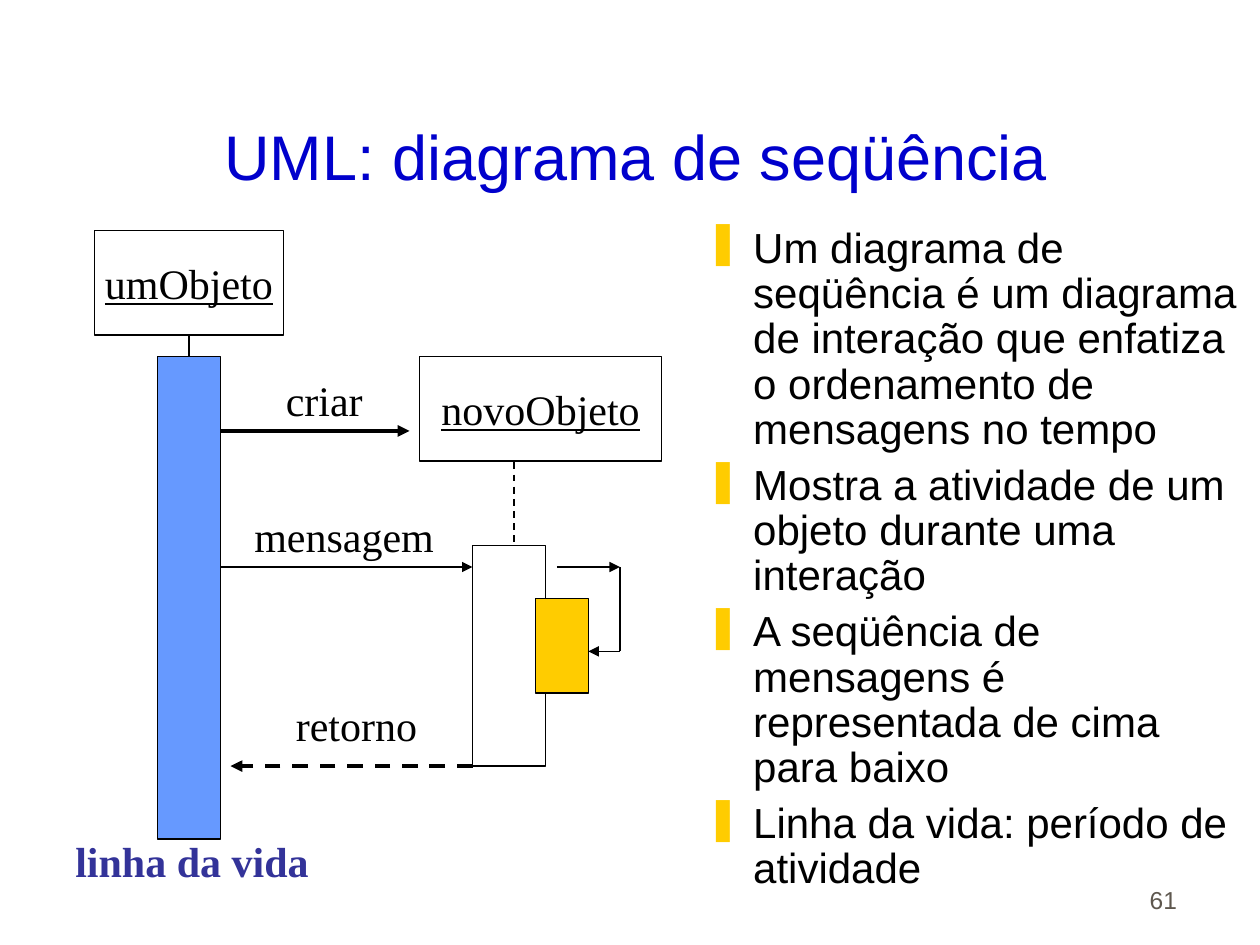
"""Builds a slide that explains the UML sequence diagram."""
from dataclasses import dataclass

from lxml import etree
from pptx import Presentation
from pptx.dml.color import RGBColor
from pptx.enum.dml import MSO_LINE
from pptx.enum.shapes import MSO_CONNECTOR, MSO_SHAPE
from pptx.enum.text import MSO_ANCHOR, MSO_AUTO_SIZE, PP_ALIGN
from pptx.oxml.ns import qn
from pptx.util import Inches, Pt


@dataclass(frozen=True)
class Theme:
    sans: str = "Arial"
    serif: str = "Times New Roman"
    title_size: int = 36
    text_size: int = 24
    number_size: int = 14
    title: str = "0000CC"
    ink: str = "000000"
    paper: str = "FFFFFF"
    active: str = "6699FF"
    accent: str = "FFCC00"
    caption: str = "333399"
    number: str = "5E574E"


class SequenceSlide:
    def __init__(self, slide, theme):
        self.shapes = slide.shapes
        self.theme = theme

    def style(self, paragraph, face, size, color, bold=False, underline=False):
        font = paragraph.font
        font.name, font.size = face, Pt(size)
        font.bold, font.underline = bold, underline
        font.color.rgb = RGBColor.from_string(color)

    def text(self, box, words, size, color, align, anchor):
        frame = self.shapes.add_textbox(*map(Inches, box)).text_frame
        frame.word_wrap = True
        frame.vertical_anchor = anchor
        paragraph = frame.paragraphs[0]
        paragraph.text, paragraph.alignment = words, align
        self.style(paragraph, self.theme.sans, size, color)

    def bullets(self, box, points):
        frame = self.shapes.add_textbox(*map(Inches, box)).text_frame
        frame.word_wrap = True
        for index, point in enumerate(points):
            paragraph = frame.add_paragraph() if index else frame.paragraphs[0]
            paragraph.text = point
            paragraph.line_spacing = 0.9
            paragraph.space_before = Pt(6 if index else 0)
            properties = paragraph._p.get_or_add_pPr()
            properties.set("marL", str(Inches(0.38)))
            properties.set("indent", str(-Inches(0.38)))
            bullet_color = etree.SubElement(properties, qn("a:buClr"))
            etree.SubElement(bullet_color, qn("a:srgbClr"), val=self.theme.accent)
            etree.SubElement(properties, qn("a:buChar"), char="❚")
            self.style(paragraph, self.theme.sans, self.theme.text_size, self.theme.ink)

    def label(self, box, words, color=None, bold=False):
        frame = self.shapes.add_textbox(*map(Inches, box)).text_frame
        frame.word_wrap = False
        frame.auto_size = MSO_AUTO_SIZE.SHAPE_TO_FIT_TEXT
        paragraph = frame.paragraphs[0]
        paragraph.text = words
        self.style(paragraph, self.theme.serif, self.theme.text_size,
                   color or self.theme.ink, bold=bold)

    def block(self, box, fill, name=None):
        block = self.shapes.add_shape(MSO_SHAPE.RECTANGLE, *map(Inches, box))
        block.shadow.inherit = False
        block.fill.solid()
        block.fill.fore_color.rgb = RGBColor.from_string(fill)
        block.line.color.rgb = RGBColor.from_string(self.theme.ink)
        block.line.width = Pt(1)
        if name:
            frame = block.text_frame
            frame.word_wrap = False
            frame.vertical_anchor = MSO_ANCHOR.MIDDLE
            paragraph = frame.paragraphs[0]
            paragraph.text, paragraph.alignment = name, PP_ALIGN.CENTER
            self.style(paragraph, self.theme.serif, self.theme.text_size,
                       self.theme.ink, underline=True)
        return block

    def line(self, start, end, width=1, dashed=False, arrow=False):
        line = self.shapes.add_connector(
            MSO_CONNECTOR.STRAIGHT, *map(Inches, (*start, *end)))
        line.line.color.rgb = RGBColor.from_string(self.theme.ink)
        line.line.width = Pt(width)
        if dashed:
            line.line.dash_style = MSO_LINE.DASH
        if arrow:
            etree.SubElement(line.line._get_or_add_ln(), qn("a:tailEnd"), type="triangle")
        etree.SubElement(line._element.spPr, qn("a:effectLst"))
        return line


def main():
    theme = Theme()
    deck = Presentation()
    deck.slide_width, deck.slide_height = Inches(10), Inches(7.5)
    page = SequenceSlide(deck.slides.add_slide(deck.slide_layouts[6]), theme)

    page.text((0.17, 0.5, 9.75, 1.08), "UML: diagrama de seqüência",
              theme.title_size, theme.title, PP_ALIGN.CENTER, MSO_ANCHOR.BOTTOM)
    page.bullets((5.5, 1.75, 4.5, 5.75), (
        "Um diagrama de seqüência é um diagrama de interação que enfatiza "
        "o ordenamento de mensagens no tempo",
        "Mostra a atividade de um objeto durante uma interação",
        "A seqüência de mensagens é representada de cima para baixo",
        "Linha da vida: período de atividade",
    ))

    sender = page.block((0.75, 1.83, 1.5, 0.83), theme.paper, "umObjeto")
    page.block((3.33, 2.83, 1.92, 0.83), theme.paper, "novoObjeto")
    sender_activity = page.block((1.25, 2.83, 0.5, 3.83), theme.active)
    sender_lifeline = page.line((1.5, 2.67), (1.5, 2.83))
    sender_lifeline.begin_connect(sender, 2)
    sender_lifeline.end_connect(sender_activity, 0)

    page.line((4.08, 3.67), (4.08, 5.92), dashed=True)
    page.line((1.75, 3.42), (3.25, 3.42), 2.25, arrow=True)
    page.line((1.75, 4.5), (3.75, 4.5), 1.5, arrow=True)
    page.line((3.75, 6.08), (1.83, 6.08), 2.25, dashed=True, arrow=True)
    page.label((2.17, 2.92, 0.85, 0.5), "criar")
    page.label((1.92, 4, 1.7, 0.5), "mensagem")
    page.label((2.25, 5.5, 1.2, 0.5), "retorno")
    page.label((0.5, 6.58, 2.1, 0.5), "linha da vida", theme.caption, bold=True)

    page.block((3.75, 4.33, 0.58, 1.75), theme.paper)
    page.line((4.42, 4.5), (4.92, 4.5), arrow=True)
    page.block((4.25, 4.75, 0.42, 0.75), theme.accent)
    page.line((4.92, 4.5), (4.92, 5.17))
    page.line((4.92, 5.17), (4.67, 5.17), arrow=True)

    page.text((7.36, 6.81, 2.08, 0.5), "61",
              theme.number_size, theme.number, PP_ALIGN.RIGHT, MSO_ANCHOR.BOTTOM)
    deck.save("out.pptx")


if __name__ == "__main__":
    main()
